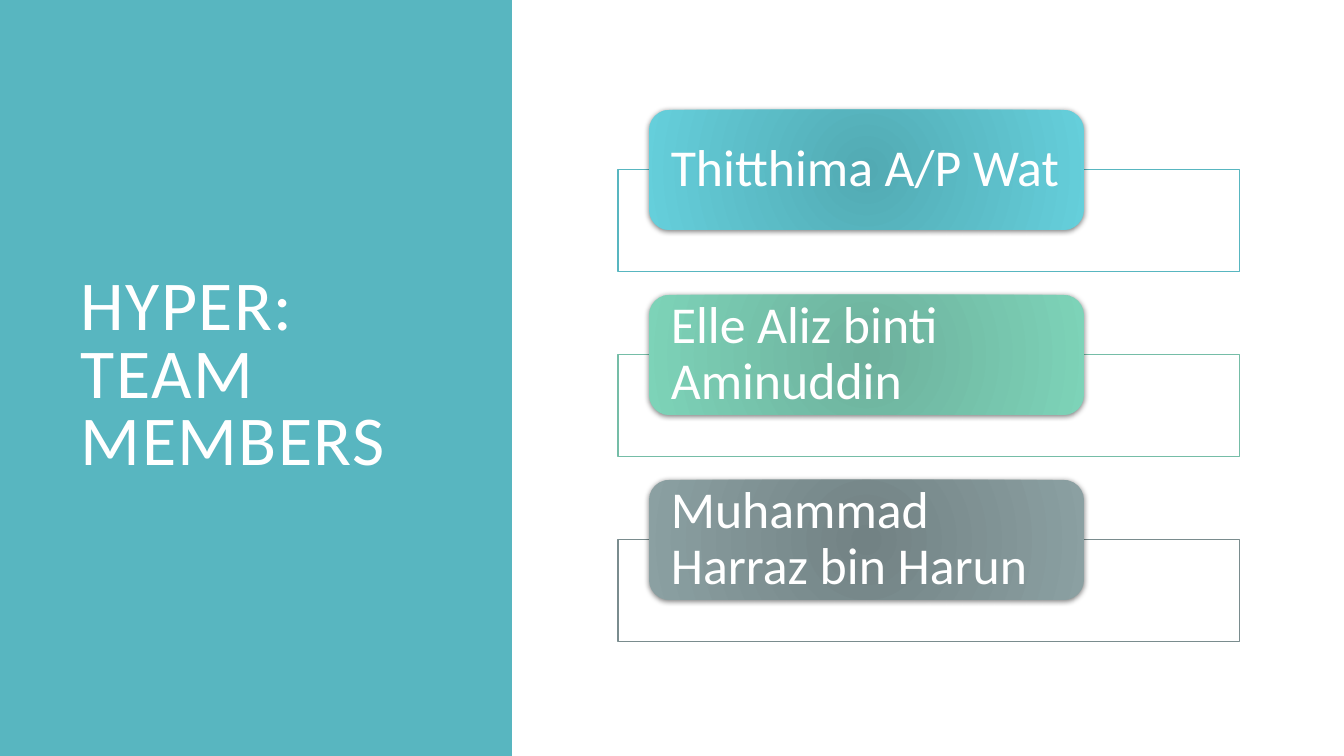
from lxml import etree
from pptx import Presentation
from pptx.dml.color import RGBColor
from pptx.enum.shapes import MSO_SHAPE
from pptx.enum.text import MSO_ANCHOR, MSO_AUTO_SIZE, PP_ALIGN
from pptx.oxml import parse_xml
from pptx.oxml.ns import nsdecls, qn
from pptx.util import Emu, Pt

RECTANGLE = MSO_SHAPE.RECTANGLE
ROUNDED = MSO_SHAPE.ROUNDED_RECTANGLE
MIDDLE = MSO_ANCHOR.MIDDLE
NO_AUTOFIT = MSO_AUTO_SIZE.NONE
LEFT = PP_ALIGN.LEFT

EMU_PER_PX = 914400 / 100.8
TITLE_ONLY = 5
FONT = "Calibri"

WHITE = RGBColor(0xFF, 0xFF, 0xFF)
TEAL = RGBColor(0x58, 0xB6, 0xC0)
GREEN = RGBColor(0x75, 0xBD, 0xA7)
GRAY = RGBColor(0x7A, 0x8C, 0x8E)
TEAL_DARK = RGBColor(0x52, 0xAA, 0xB3)
TEAL_LIGHT = RGBColor(0x65, 0xCF, 0xDB)
GREEN_DARK = RGBColor(0x6D, 0xB0, 0x9C)
GREEN_LIGHT = RGBColor(0x7D, 0xD3, 0xB8)
GRAY_DARK = RGBColor(0x72, 0x82, 0x84)
GRAY_LIGHT = RGBColor(0x8B, 0xA0, 0xA2)

MEMBERS = [
    ("Thitthima A/P Wat", TEAL, TEAL_DARK, TEAL_LIGHT),
    ("Elle Aliz binti Aminuddin", GREEN, GREEN_DARK, GREEN_LIGHT),
    ("Muhammad Harraz bin Harun", GRAY, GRAY_DARK, GRAY_LIGHT),
]
FIRST_TOP = 110
ROW_PITCH = 185
FRAME_OFFSET = 60


def px(length):
    return Emu(round(length * EMU_PER_PX))


def add_box(slide, kind, left, top, width, height):
    shape = slide.shapes.add_shape(kind, px(left), px(top), px(width), px(height))
    shape.shadow.inherit = False
    shape.line.fill.background()
    return shape


def write_text(shape, text, *, size, line_spacing, side_inset, end_inset, tracking=0):
    frame = shape.text_frame
    frame.word_wrap = True
    frame.auto_size = NO_AUTOFIT
    frame.vertical_anchor = MIDDLE
    frame.margin_left = frame.margin_right = px(side_inset)
    frame.margin_top = frame.margin_bottom = px(end_inset)
    paragraph = frame.paragraphs[0]
    paragraph.alignment = LEFT
    paragraph.line_spacing = line_spacing
    run = paragraph.add_run()
    run.text = text
    run.font.name = FONT
    run.font.size = Pt(size)
    run.font.color.rgb = WHITE
    if tracking:
        run.font._element.set("spc", str(tracking * 100))


def set_radial_fill(shape, inner, outer):
    gradient = parse_xml(
        f'<a:gradFill {nsdecls("a")} rotWithShape="1"><a:gsLst>'
        f'<a:gs pos="0"><a:srgbClr val="{inner}"/></a:gs>'
        f'<a:gs pos="100000"><a:srgbClr val="{outer}"/></a:gs></a:gsLst>'
        '<a:path path="circle">'
        '<a:fillToRect l="100000" t="100000" r="100000" b="100000"/>'
        '</a:path></a:gradFill>'
    )
    shape.element.spPr.find(qn("a:ln")).addprevious(gradient)


def set_drop_shadow(shape):
    effects = shape.element.spPr.find(qn("a:effectLst"))
    effects.append(parse_xml(
        f'<a:outerShdw {nsdecls("a")} blurRad="{Pt(4)}" dist="{Pt(1)}" '
        'dir="5400000" rotWithShape="0"><a:srgbClr val="000000">'
        '<a:alpha val="50000"/></a:srgbClr></a:outerShdw>'
    ))


def add_frame(slide, top, color):
    frame = add_box(slide, RECTANGLE, 618, top, 622, 102)
    frame.fill.solid()
    frame.fill.fore_color.rgb = WHITE
    fill_color = frame.element.spPr.find(qn("a:solidFill")).find(qn("a:srgbClr"))
    etree.SubElement(fill_color, qn("a:alpha")).set("val", "90000")
    frame.line.color.rgb = color
    frame.line.width = Pt(0.75)


def add_member(slide, top, name, color, inner, outer):
    add_frame(slide, top + FRAME_OFFSET, color)
    card = add_box(slide, ROUNDED, 649, top, 435, 120)
    set_radial_fill(card, inner, outer)
    set_drop_shadow(card)
    write_text(card, name, size=37, line_spacing=0.9, side_inset=16, end_inset=0)


def add_title_panel(slide):
    panel = add_box(slide, RECTANGLE, 0, 0, 512, 756)
    panel.fill.solid()
    panel.fill.fore_color.rgb = TEAL
    title = slide.shapes.title
    title.element.addprevious(panel.element)
    title.left, title.top = px(71), px(71)
    title.width, title.height = px(377), px(614)
    write_text(title, "HYPER: TEAM MEMBERS", size=50, line_spacing=0.8,
               side_inset=10, end_inset=5, tracking=1)


def main():
    presentation = Presentation()
    presentation.slide_width = px(1344)
    presentation.slide_height = px(756)
    slide = presentation.slides.add_slide(presentation.slide_layouts[TITLE_ONLY])
    add_title_panel(slide)
    for row, member in enumerate(MEMBERS):
        add_member(slide, FIRST_TOP + row * ROW_PITCH, *member)
    presentation.save("out.pptx")


if __name__ == "__main__":
    main()
